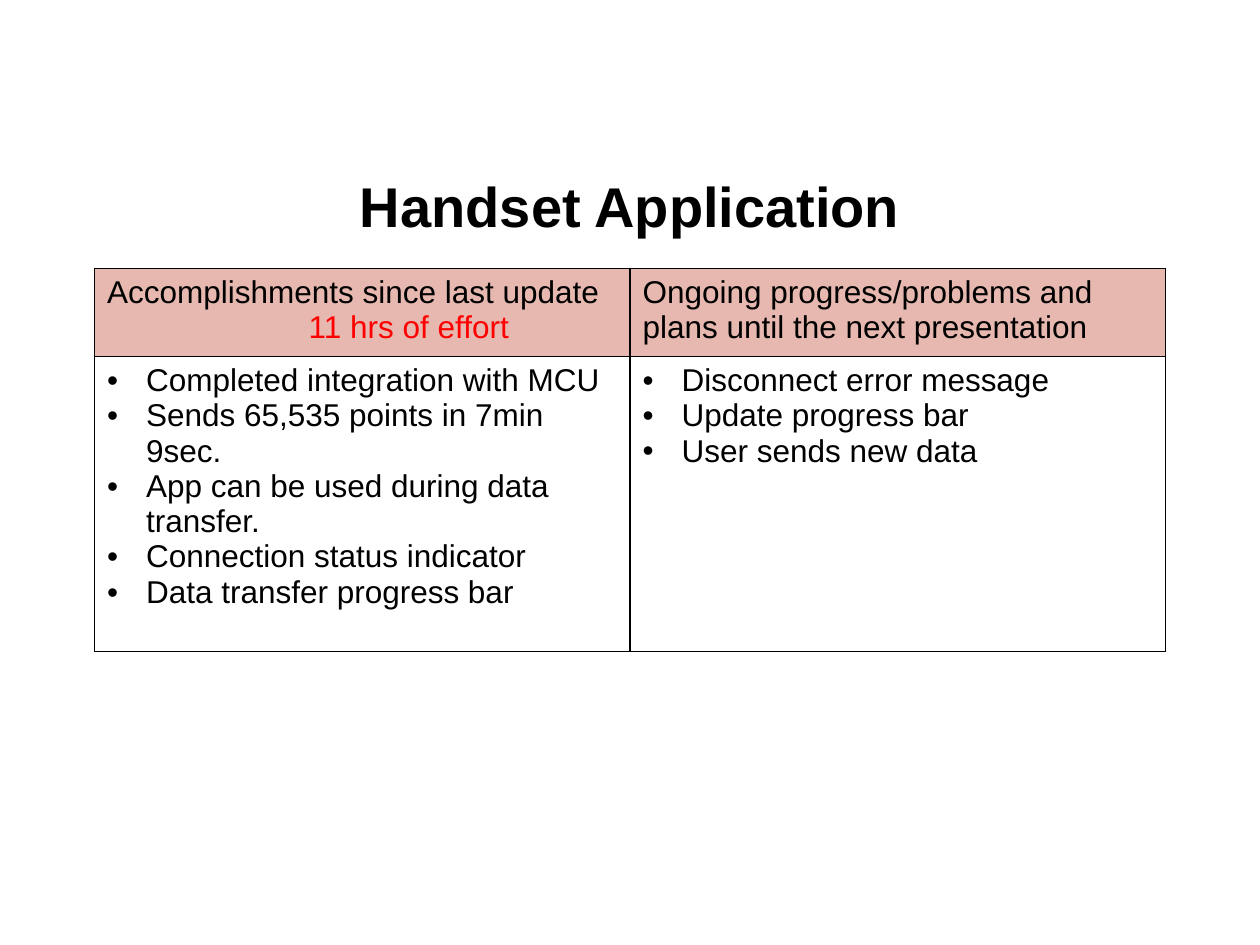
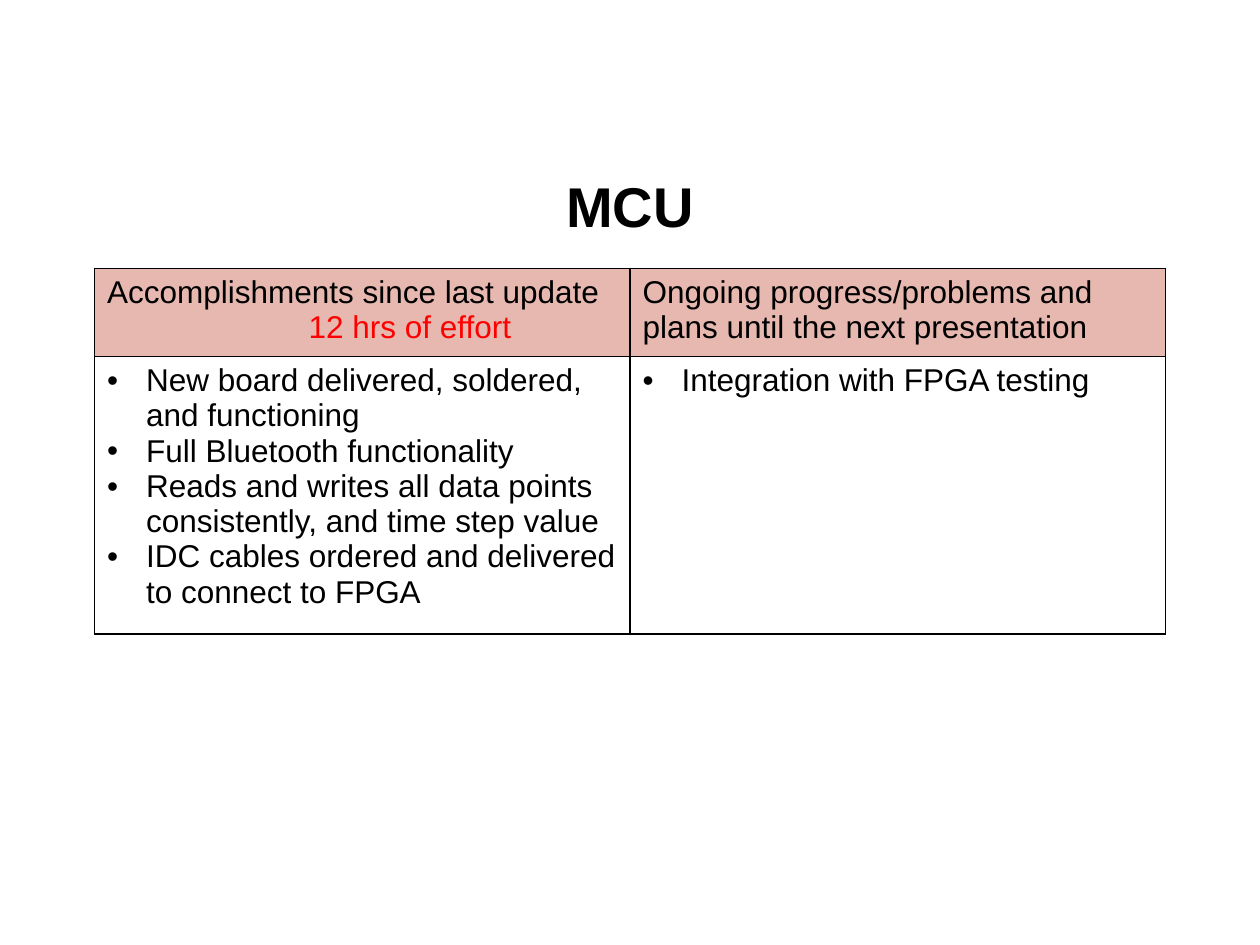
"""Build two progress slides, each with a title and a status table."""
from dataclasses import dataclass

from lxml.etree import SubElement
from pptx import Presentation
from pptx.dml.color import RGBColor as Rgb
from pptx.enum.text import MSO_ANCHOR as Anchor, PP_ALIGN as Align
from pptx.oxml.ns import qn
from pptx.slide import Slide
from pptx.table import _Cell as Cell
from pptx.text.text import _Paragraph as Para
from pptx.util import Inches, Pt


@dataclass(frozen=True)
class Theme:
    font: str = "Arial"
    ink: str = "000000"
    alert: str = "FF0000"
    head: str = "E6B8AF"
    title: int = 32
    body: int = 18
    rule: int = 1


@dataclass(frozen=True)
class Report:
    title: str
    hours: int
    done: list[str]
    plans: list[str]
    depth: float


THEME = Theme()
DONE_HEAD = "Accomplishments since last update"
PLAN_HEAD = "Ongoing progress/problems and plans until the next presentation"
REPORTS = [
    Report(
        "Handset Application", 11,
        ["Completed integration with MCU",
         "Sends 65,535 points in 7min 9sec.",
         "App can be used during data transfer.",
         "Connection status indicator",
         "Data transfer progress bar"],
        ["Disconnect error message", "Update progress bar", "User sends new data"],
        2.34,
    ),
    Report(
        "MCU", 12,
        ["New board delivered, soldered, and functioning",
         "Full Bluetooth functionality",
         "Reads and writes all data points consistently, and time step value",
         "IDC cables ordered and delivered to connect to FPGA"],
        ["Integration with FPGA testing"],
        2.06,
    ),
]


def write(para: Para, text: str, size: int = THEME.body,
          color: str = THEME.ink, bold: bool = False) -> None:
    run = para.add_run()
    run.text = text
    look = {"name": THEME.font, "size": Pt(size), "bold": bold}
    for key, value in look.items():
        setattr(run.font, key, value)
    run.font.color.rgb = Rgb.from_string(color)


def indent(para: Para, left: float, first: float = 0) -> None:
    props = para._p.get_or_add_pPr()
    props.set("marL", str(Inches(left)))
    props.set("indent", str(Inches(first)))


def next_para(cell: Cell, index: int) -> Para:
    frame = cell.text_frame
    return frame.add_paragraph() if index else frame.paragraphs[0]


def add_list(cell: Cell, items: list[str]) -> None:
    for index, item in enumerate(items):
        para = next_para(cell, index)
        indent(para, 0.31, -0.31)
        props = para._p.get_or_add_pPr()
        SubElement(props, qn("a:buFont"), typeface=THEME.font)
        SubElement(props, qn("a:buChar"), char="•")
        write(para, item)


def add_rules(cell: Cell) -> None:
    props = cell._tc.get_or_add_tcPr()
    for side in ("lnL", "lnR", "lnT", "lnB"):
        line = SubElement(props, qn(f"a:{side}"), w=str(Pt(THEME.rule)))
        fill = SubElement(line, qn("a:solidFill"))
        SubElement(fill, qn("a:srgbClr"), val=THEME.ink)


def add_title(slide: Slide, text: str) -> None:
    box = slide.shapes.add_textbox(Inches(0.5), Inches(1.15), Inches(9), Inches(0.88))
    frame = box.text_frame
    frame.word_wrap = True
    frame.vertical_anchor = Anchor.MIDDLE
    para = frame.paragraphs[0]
    para.alignment = Align.CENTER
    para.line_spacing = 1.15
    write(para, text, THEME.title, bold=True)


def add_grid(slide: Slide, report: Report) -> None:
    rows = (0.7, report.depth)
    grid = slide.shapes.add_table(2, 2, Inches(0.75), Inches(2.13),
                                  Inches(8.5), Inches(sum(rows))).table
    grid.first_row = grid.horz_banding = False
    for row, height in zip(grid.rows, rows):
        row.height = Inches(height)
    for cell in grid.iter_cells():
        add_rules(cell)
        cell.fill.background()
    for cell, text in zip(grid.rows[0].cells, (DONE_HEAD, PLAN_HEAD)):
        cell.fill.solid()
        cell.fill.fore_color.rgb = Rgb.from_string(THEME.head)
        write(next_para(cell, 0), text)
    effort = next_para(grid.cell(0, 0), 1)
    indent(effort, 1.6)
    write(effort, f"{report.hours} hrs of effort", color=THEME.alert)
    for cell, items in zip(grid.rows[1].cells, (report.done, report.plans)):
        add_list(cell, items)


def main() -> None:
    deck = Presentation()
    deck.slide_width, deck.slide_height = Inches(10), Inches(7.5)
    for report in REPORTS:
        slide = deck.slides.add_slide(deck.slide_layouts[6])
        add_title(slide, report.title)
        add_grid(slide, report)
    deck.save("out.pptx")


if __name__ == "__main__":
    main()
